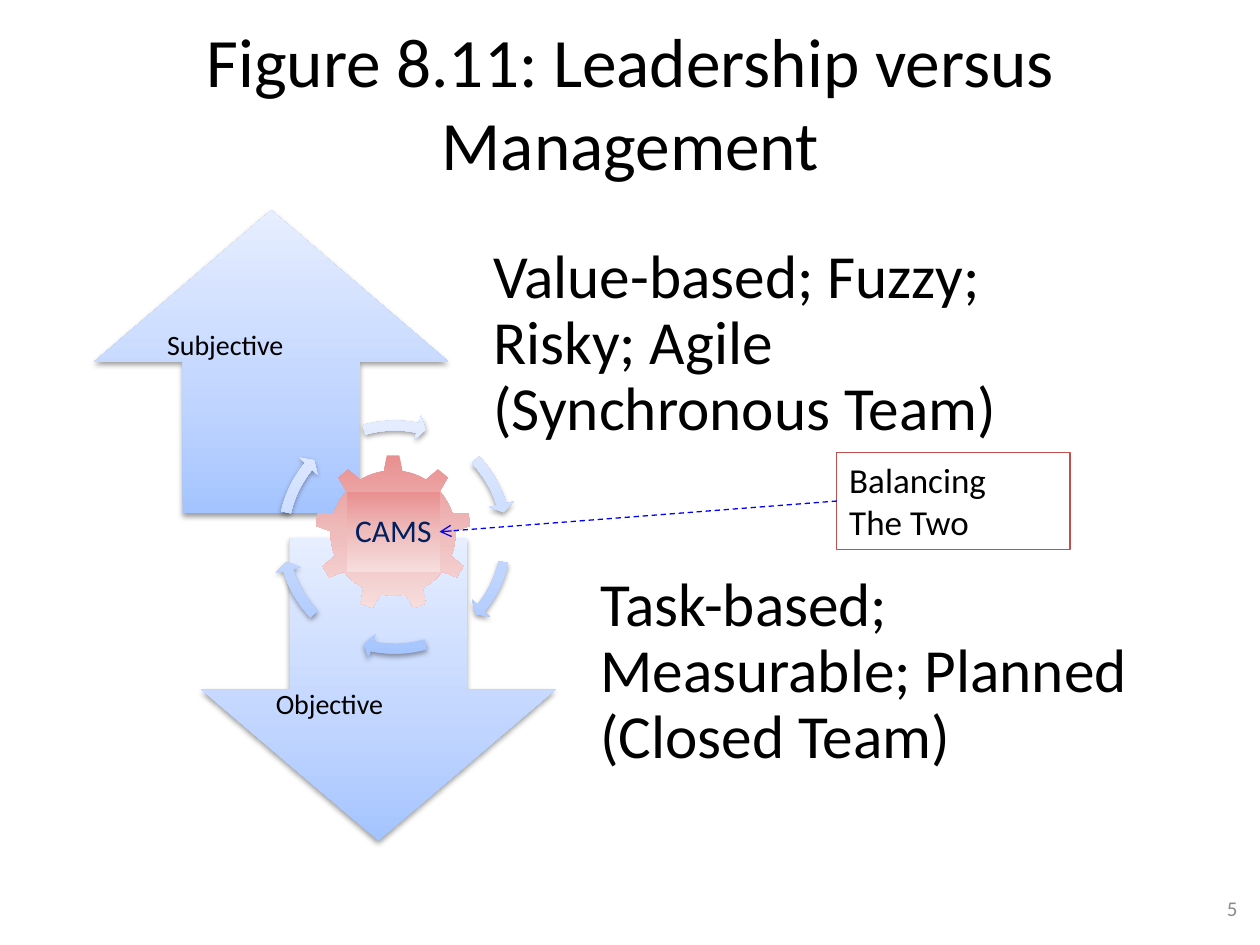
"""Build the slide that contrasts leadership with management around a CAMS gear."""
from dataclasses import dataclass
from typing import Optional

from lxml import etree
from pptx import Presentation
from pptx.dml.color import RGBColor
from pptx.enum.dml import MSO_LINE
from pptx.enum.shapes import MSO_CONNECTOR, MSO_SHAPE
from pptx.enum.text import MSO_ANCHOR, MSO_AUTO_SIZE, PP_ALIGN
from pptx.oxml.ns import qn
from pptx.util import Cm, Pt

DASH = MSO_LINE.DASH
STRAIGHT = MSO_CONNECTOR.STRAIGHT
UP_ARROW, DOWN_ARROW = MSO_SHAPE.UP_ARROW, MSO_SHAPE.DOWN_ARROW
CIRCULAR_ARROW, GEAR = MSO_SHAPE.CIRCULAR_ARROW, MSO_SHAPE.GEAR_9
RECTANGLE = MSO_SHAPE.RECTANGLE
TOP, MIDDLE = MSO_ANCHOR.TOP, MSO_ANCHOR.MIDDLE
LEFT, CENTER, RIGHT = PP_ALIGN.LEFT, PP_ALIGN.CENTER, PP_ALIGN.RIGHT
NO_AUTOFIT = MSO_AUTO_SIZE.NONE


@dataclass(frozen=True)
class Gradient:
    stops: tuple
    angle: int


@dataclass(frozen=True)
class Theme:
    font: str = "Calibri"
    text: str = "000000"
    number: str = "8C8C8C"
    gear_text: str = "002060"
    callout: str = "C0504D"
    pointer: str = "0000FF"
    blue: Gradient = Gradient(((0, "A4C4FF"), (35, "BFD4FF"), (100, "E6EEFF")), 270)
    red: Gradient = Gradient(((0, "E98F8F"), (50, "EFBCBC"), (100, "F7DEDE")), 90)
    title_size: float = 39.6
    body_size: float = 35
    callout_size: float = 20
    gear_size: float = 18
    label_size: float = 16
    number_size: float = 12
    line_width: float = 0.75


@dataclass(frozen=True)
class Box:
    left: float
    top: float
    width: float
    height: float

    def lengths(self) -> tuple:
        return Cm(self.left), Cm(self.top), Cm(self.width), Cm(self.height)


@dataclass(frozen=True)
class Side:
    arrow: int
    left: float
    top: float
    label: str
    label_box: Box
    description: str


THEME = Theme()
ARROW_WIDTH, SIDE_HEIGHT = 7.14, 6.1
BODY_OFFSET, BODY_WIDTH, BODY_INSET = 7.35, 12.09, 0.69
SIDES = (
    Side(UP_ARROW, 1.9, 4.24, "Subjective", Box(3.12, 6.48, 4.78, 0.94),
         "Value-based; Fuzzy; Risky; Agile (Synchronous Team)"),
    Side(DOWN_ARROW, 4.06, 10.85, "Objective", Box(5.31, 13.72, 4.78, 0.94),
         "Task-based; Measurable; Planned (Closed Team)"),
)
RING_BOX = Box(5.46, 8.33, 5, 5)
RING_ANGLES = ((205.74, 189.82), (23.67, 7.76), (61.12, 44.38),
               (97.74, 81.82), (131.67, 115.76), (169.12, 152.38))
GEAR_BOX = Box(6.35, 9.17, 3.15, 3.15)
GEAR_CORE = Box(6.99, 9.91, 1.88, 1.63)
CALLOUT_BOX = Box(16.87, 9.12, 4.7, 1.96)
POINTER_TIP = (8.86, 10.72)


def place(shape, box: Box) -> None:
    """Move and size a shape."""
    shape.left, shape.top, shape.width, shape.height = box.lengths()


def write(shape, text: str, size: float, color: str = THEME.text,
          align: int = LEFT, anchor: int = TOP, wrap: bool = True) -> None:
    """Fill a shape with uniformly formatted paragraphs."""
    frame = shape.text_frame
    frame.text = text
    frame.word_wrap = wrap
    frame.auto_size = NO_AUTOFIT
    frame.vertical_anchor = anchor
    for paragraph in frame.paragraphs:
        paragraph.alignment = align
        paragraph.font.name = THEME.font
        paragraph.font.size = Pt(size)
        paragraph.font.color.rgb = RGBColor.from_string(color)


def set_insets(shape, left: float, top: float, right: float, bottom: float) -> None:
    """Set the text margins of a shape in centimetres."""
    frame = shape.text_frame
    frame.margin_left, frame.margin_top = Cm(left), Cm(top)
    frame.margin_right, frame.margin_bottom = Cm(right), Cm(bottom)


def add_color(parent, color: str):
    """Append an RGB colour element."""
    return etree.SubElement(parent, qn("a:srgbClr"), val=color)


def add_gradient_shape(slide, kind: int, box: Box, gradient: Gradient,
                       shadow: bool = False, adjustments: Optional[tuple] = None):
    """Draw a borderless preset shape with a linear gradient."""
    shape = slide.shapes.add_shape(kind, *box.lengths())
    for index, value in enumerate(adjustments or ()):
        shape.adjustments[index] = value
    properties = shape.element.spPr
    fill = etree.Element(qn("a:gradFill"), rotWithShape="1")
    stops = etree.SubElement(fill, qn("a:gsLst"))
    for position, color in gradient.stops:
        add_color(etree.SubElement(stops, qn("a:gs"), pos=str(position * 1000)), color)
    etree.SubElement(fill, qn("a:lin"), ang=str(gradient.angle * 60000), scaled="0")
    properties.find(qn("a:prstGeom")).addnext(fill)
    shape.line.fill.background()
    shape.shadow.inherit = False
    if shadow:
        outer = etree.SubElement(
            properties.find(qn("a:effectLst")), qn("a:outerShdw"), blurRad=str(Pt(3.1)),
            dist=str(Pt(1.6)), dir="5400000", rotWithShape="0")
        etree.SubElement(add_color(outer, "000000"), qn("a:alpha"), val="38000")
    return shape


def add_label(slide, box: Box, text: str, size: float, **formatting):
    """Add a text box."""
    label = slide.shapes.add_textbox(*box.lengths())
    write(label, text, size, **formatting)
    return label


def add_side(slide, side: Side, body) -> None:
    """Draw one big arrow and place its description."""
    add_gradient_shape(slide, side.arrow, Box(side.left, side.top, ARROW_WIDTH, SIDE_HEIGHT),
                       THEME.blue, shadow=True)
    place(body, Box(side.left + BODY_OFFSET, side.top, BODY_WIDTH, SIDE_HEIGHT))
    write(body, side.description, THEME.body_size, anchor=MIDDLE)
    set_insets(body, BODY_INSET, 0, BODY_INSET, BODY_INSET)
    paragraph = body.text_frame.paragraphs[0]
    paragraph.line_spacing = 0.9
    paragraph.space_before = Pt(0)
    properties = paragraph._p.get_or_add_pPr()
    properties.set("marL", "0")
    properties.set("indent", "0")
    properties.insert_element_before(etree.Element(qn("a:buNone")), "a:tabLst", "a:defRPr")


def add_gear(slide) -> None:
    """Draw the ring of arrows and the gear inside it."""
    for end, start in RING_ANGLES:
        add_gradient_shape(slide, CIRCULAR_ARROW, RING_BOX, THEME.blue, shadow=True,
                           adjustments=(0.04, 2.5, end, start, 0.05))
    add_gradient_shape(slide, GEAR, GEAR_BOX, THEME.red)
    core = add_gradient_shape(slide, RECTANGLE, GEAR_CORE, THEME.red)
    write(core, "CAMS", THEME.gear_size, THEME.gear_text, CENTER, MIDDLE)
    set_insets(core, 0.08, 0.08, 0.08, 0.08)
    core.text_frame.paragraphs[0].line_spacing = 0.9


def add_callout(slide) -> None:
    """Add the outlined callout and its dashed pointer to the gear."""
    callout = add_label(slide, CALLOUT_BOX, "Balancing\nThe Two", THEME.callout_size, wrap=False)
    callout.line.color.rgb = RGBColor.from_string(THEME.callout)
    callout.line.width = Pt(THEME.line_width)
    middle = CALLOUT_BOX.top + CALLOUT_BOX.height / 2
    pointer = slide.shapes.add_connector(
        STRAIGHT, Cm(CALLOUT_BOX.left), Cm(middle), *map(Cm, POINTER_TIP))
    pointer.line.color.rgb = RGBColor.from_string(THEME.pointer)
    pointer.line.width = Pt(THEME.line_width)
    pointer.line.dash_style = DASH
    properties = pointer.element.spPr
    etree.SubElement(properties.find(qn("a:ln")), qn("a:tailEnd"), type="arrow")
    etree.SubElement(properties, qn("a:effectLst"))


def main() -> None:
    """Build and save the presentation."""
    presentation = Presentation()
    presentation.slide_width, presentation.slide_height = Cm(25.4), Cm(19.05)
    slide = presentation.slides.add_slide(presentation.slide_layouts.get_by_name("Two Content"))
    title, *bodies = slide.placeholders
    place(title, Box(2.74, 0.46, 19.94, 3.18))
    write(title, "Figure 8.11: Leadership versus Management", THEME.title_size,
          align=CENTER, anchor=MIDDLE)
    add_label(slide, Box(23.5, 17.78, 1.7, 1.07), "5", THEME.number_size,
              color=THEME.number, align=RIGHT, anchor=MIDDLE)
    for side, body in zip(SIDES, bodies):
        add_side(slide, side, body)
    add_gear(slide)
    add_callout(slide)
    for side in SIDES:
        add_label(slide, side.label_box, side.label, THEME.label_size)
    presentation.save("out.pptx")


if __name__ == "__main__":
    main()
